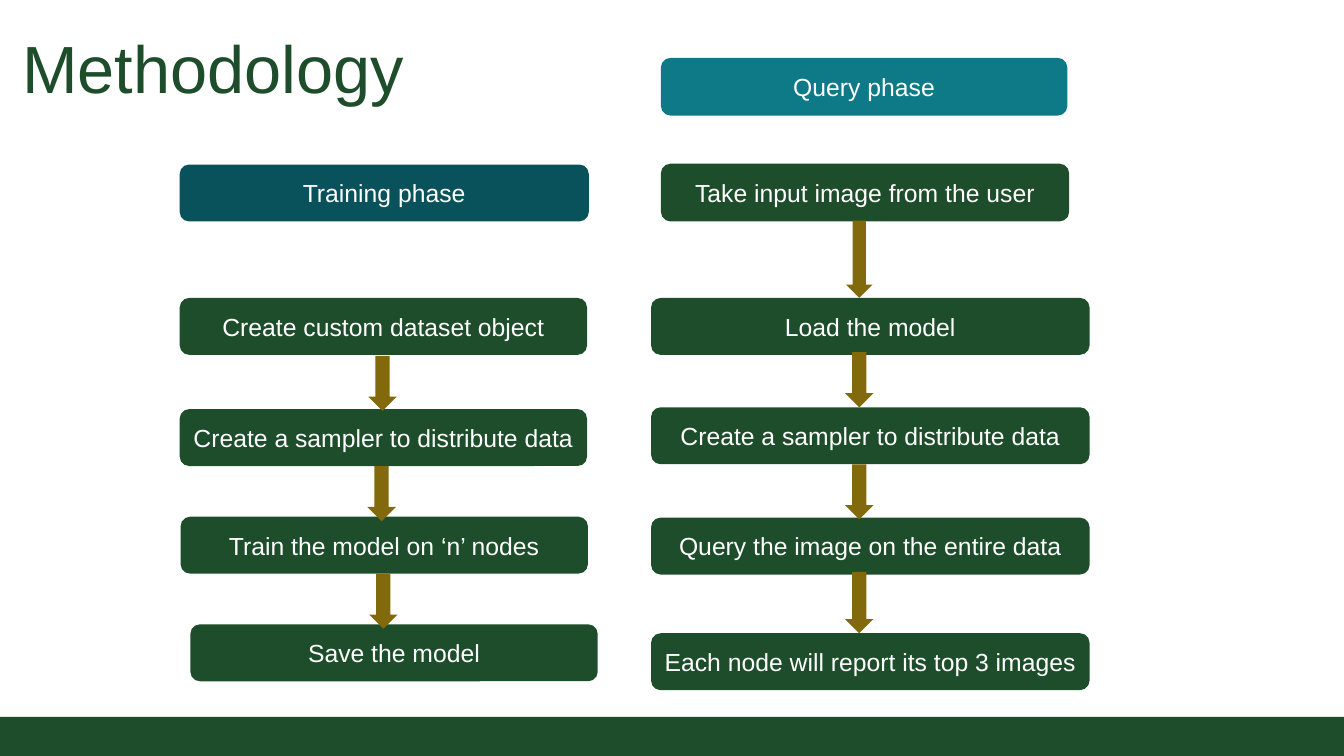
from pptx import Presentation
from pptx import util as u
from pptx.dml.color import RGBColor
from pptx.enum import shapes, text

PX = 9144  # 100 px to the inch
GREEN = RGBColor(0x1E, 0x4D, 0x2B)
TEAL = RGBColor(0x0E, 0x7A, 0x88)
NAVY = RGBColor(0x09, 0x51, 0x5B)
GOLD = RGBColor(0x82, 0x6A, 0x0C)
WHITE = RGBColor(0xFF, 0xFF, 0xFF)
KIND = shapes.MSO_SHAPE

deck = Presentation()
deck.slide_width, deck.slide_height = 1511 * PX, 850 * PX
slide = deck.slides.add_slide(deck.slide_layouts[6])


def block(kind, x, y, w, h, color):
    shape = slide.shapes.add_shape(kind, x * PX, y * PX, w * PX, h * PX)
    shape.shadow.inherit = False
    shape.fill.solid()
    shape.fill.fore_color.rgb = color
    shape.line.fill.background()
    return shape


def write(frame, words, size, color, align, anchor):
    frame.word_wrap = True
    frame.vertical_anchor = anchor
    para = frame.paragraphs[0]
    para.text = words
    para.alignment = align
    para.font.name = "Arial"
    para.font.size = u.Pt(size)
    para.font.color.rgb = color


# Footer band
block(KIND.RECTANGLE, 0, 806, 1511, 44, GREEN)

# Title
title = slide.shapes.add_textbox(15 * PX, 19 * PX, 1374 * PX, 111 * PX)
frame = title.text_frame
frame.margin_left = frame.margin_right = 10 * PX
frame.margin_top = frame.margin_bottom = 10 * PX
write(frame, "Methodology", 54, GREEN, text.PP_ALIGN.LEFT, text.MSO_ANCHOR.BOTTOM)

# Phase headings and steps: x, y, width, height, color, words
steps = [
    (202, 185, 460, 64, NAVY, "Training phase"),
    (202, 335, 458, 64, GREEN, "Create custom dataset object"),
    (202, 460, 458, 64, GREEN, "Create a sampler to distribute data"),
    (203, 581, 458, 64, GREEN, "Train the model on ‘n’ nodes"),
    (214, 702, 458, 64, GREEN, "Save the model"),
    (743, 65, 457, 65, TEAL, "Query phase"),
    (743, 184, 459, 65, GREEN, "Take input image from the user"),
    (732, 335, 493, 64, GREEN, "Load the model"),
    (732, 458, 493, 64, GREEN, "Create a sampler to distribute data"),
    (732, 582, 493, 64, GREEN, "Query the image on the entire data"),
    (732, 712, 493, 64, GREEN, "Each node will report its top 3 images"),
]
for *place, color, words in steps:
    box = block(KIND.ROUNDED_RECTANGLE, *place, color)
    write(box.text_frame, words, 20, WHITE, text.PP_ALIGN.CENTER, text.MSO_ANCHOR.MIDDLE)

# Arrows between steps: x, y, width, height
arrows = [
    (414, 400, 32, 62),
    (413, 524, 32, 62),
    (415, 645, 32, 62),
    (951, 248, 30, 87),
    (950, 396, 32, 62),
    (950, 522, 32, 62),
    (950, 643, 32, 69),
]
for place in arrows:
    block(KIND.DOWN_ARROW, *place, GOLD)

deck.save("out.pptx")
